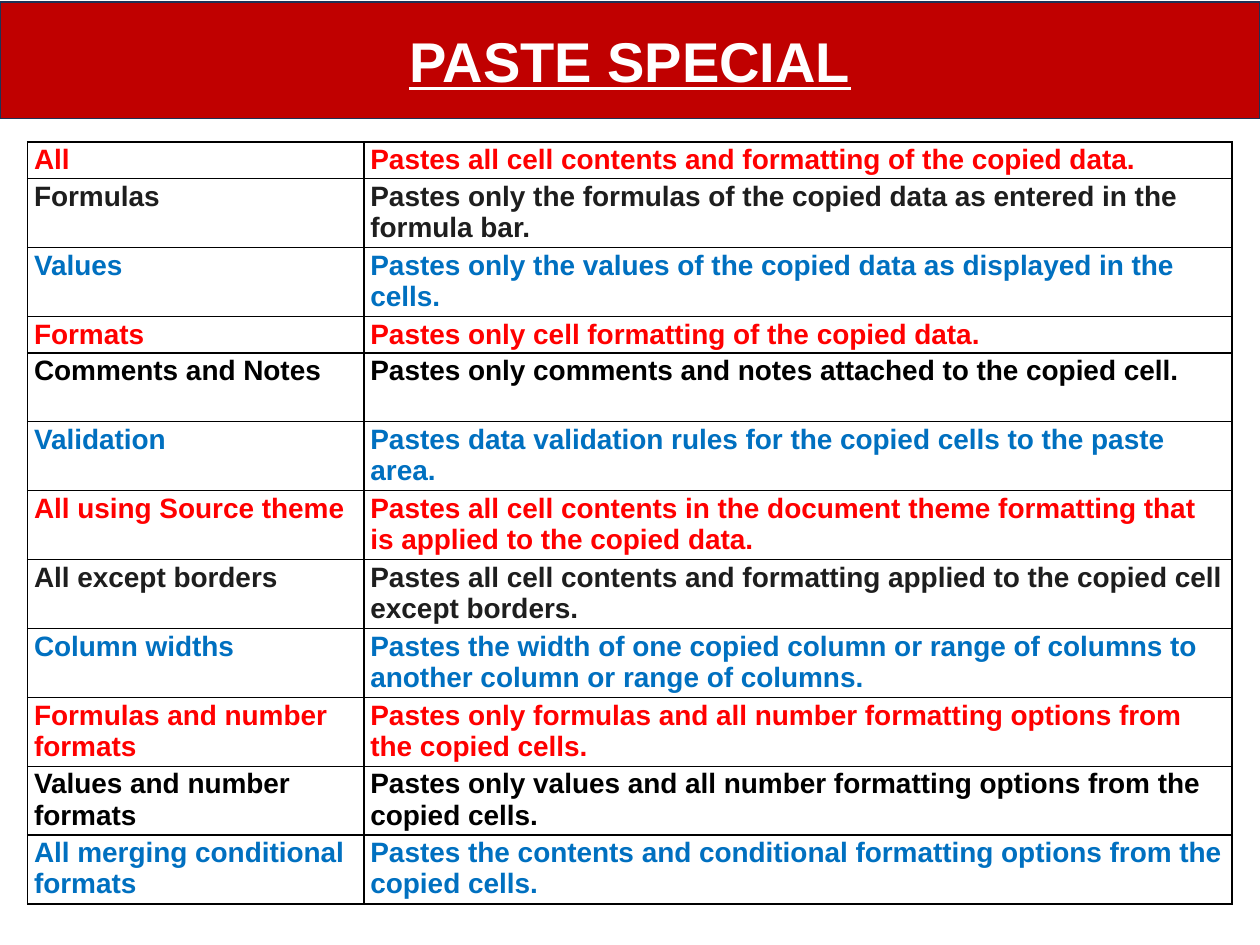
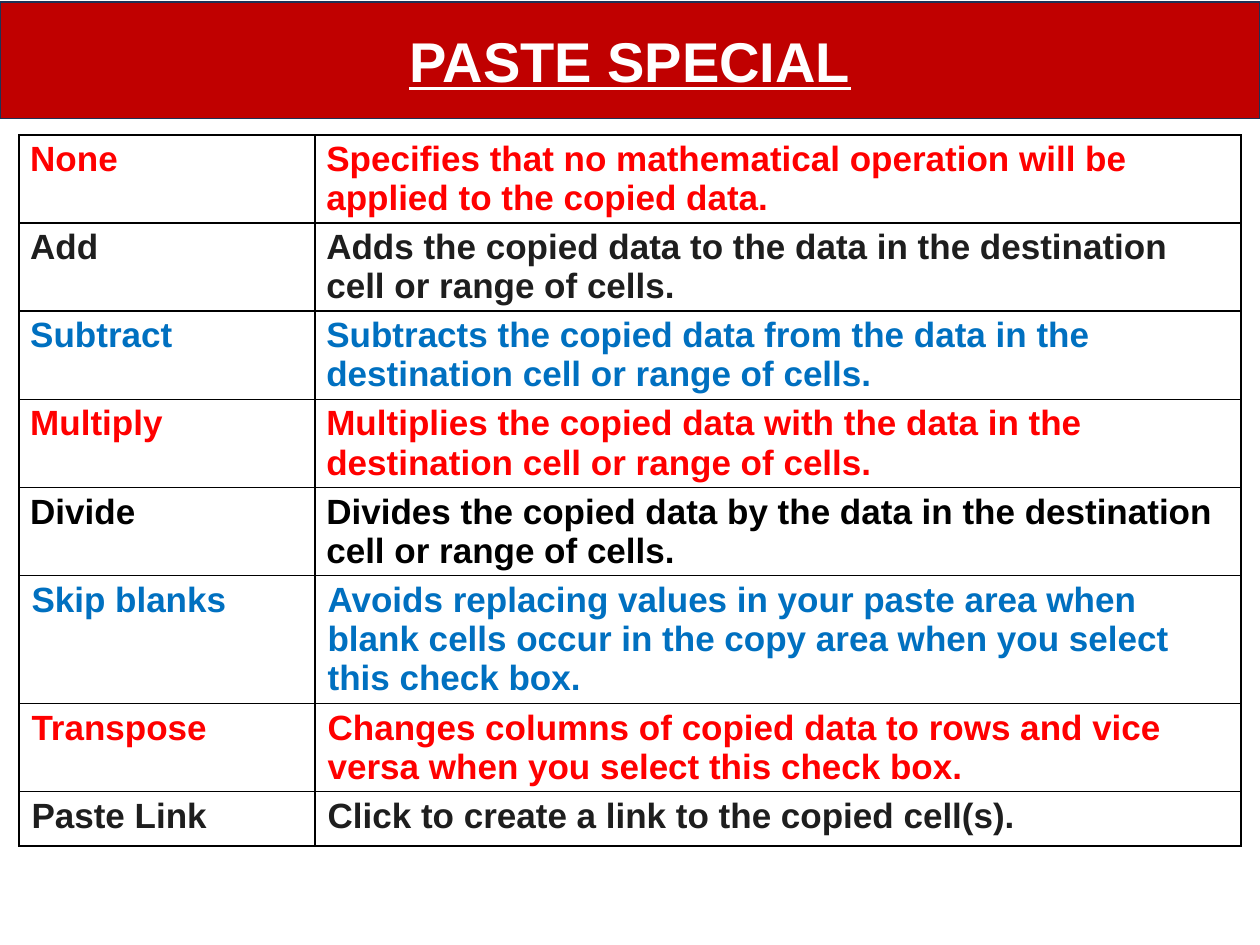
from itertools import cycle

from lxml.etree import SubElement
from pptx import Presentation
from pptx.dml.color import RGBColor as Rgb
from pptx.enum.text import MSO_ANCHOR as Anchor, MSO_AUTO_SIZE as AutoSize, PP_ALIGN as Align
from pptx.oxml.ns import qn
from pptx.util import Inches, Pt

COLOURS = {
    "band": "C00000", "edge": "1E3256", "title": "FFFFFF", "border": "000000",
    "red": "FF0000", "charcoal": "1E1E1E", "blue": "0070C0", "black": "000000",
}
ROW_COLOURS = ("red", "charcoal", "blue", "red", "black", "blue")
FONT = "Arial"
TITLE_ONLY = 5
GRID_COLUMNS, GRID_ROWS = 100, 75

PASTE_OPTIONS = [
    ("All", "Pastes all cell contents and formatting of the copied data."),
    ("Formulas", "Pastes only the formulas of the copied data as entered in the formula bar."),
    ("Values", "Pastes only the values of the copied data as displayed in the cells."),
    ("Formats", "Pastes only cell formatting of the copied data."),
    ("Comments and Notes", "Pastes only comments and notes attached to the copied cell."),
    ("Validation", "Pastes data validation rules for the copied cells to the paste area."),
    ("All using Source theme",
     "Pastes all cell contents in the document theme formatting that is applied to the copied data."),
    ("All except borders",
     "Pastes all cell contents and formatting applied to the copied cell except borders."),
    ("Column widths",
     "Pastes the width of one copied column or range of columns to another column or range of columns."),
    ("Formulas and number formats",
     "Pastes only formulas and all number formatting options from the copied cells."),
    ("Values and number formats",
     "Pastes only values and all number formatting options from the copied cells."),
    ("All merging conditional formats",
     "Pastes the contents and conditional formatting options from the copied cells."),
]
OPERATIONS = [
    ("None", "Specifies that no mathematical operation will be applied to the copied data."),
    ("Add", "Adds the copied data to the data in the destination cell or range of cells."),
    ("Subtract", "Subtracts the copied data from the data in the destination cell or range of cells."),
    ("Multiply", "Multiplies the copied data with the data in the destination cell or range of cells."),
    ("Divide", "Divides the copied data by the data in the destination cell or range of cells."),
    ("Skip blanks",
     "Avoids replacing values in your paste area when blank cells occur in the copy area "
     "when you select this check box."),
    ("Transpose",
     "Changes columns of copied data to rows and vice versa when you select this check box."),
    ("Paste Link", "Click to create a link to the copied cell(s)."),
]


def write_text(frame, text, *, size, colour, align=Align.LEFT, underline=False):
    """Write bold text into a text frame in the given format."""
    paragraph = frame.paragraphs[0]
    paragraph.alignment = align
    run = paragraph.add_run()
    run.text = text
    font = run.font
    font.name, font.size, font.bold, font.underline = FONT, Pt(size), True, underline
    font.color.rgb = Rgb.from_string(COLOURS[colour])


class Deck:
    """Hold the shared style, the presentation and the current slide."""

    def __init__(self):
        """Start an empty presentation with a grid over its slides."""
        self.show = Presentation()
        self.show.slide_width, self.show.slide_height = Inches(10), Inches(7.5)
        self.slide = None

    def across(self, columns):
        """Turn grid columns into a length."""
        return round(self.show.slide_width * columns / GRID_COLUMNS)

    def down(self, rows):
        """Turn grid rows into a length."""
        return round(self.show.slide_height * rows / GRID_ROWS)

    def titled_slide(self, heading):
        """Add a slide with its heading on the red band."""
        self.slide = self.show.slides.add_slide(self.show.slide_layouts[TITLE_ONLY])
        band = self.slide.shapes.title
        band.left, band.top = 0, self.down(0.15)
        band.width, band.height = self.across(GRID_COLUMNS), self.down(9.25)
        band.fill.solid()
        band.fill.fore_color.rgb = Rgb.from_string(COLOURS["band"])
        band.line.color.rgb = Rgb.from_string(COLOURS["edge"])
        band.line.width = Pt(1)
        band.text_frame.auto_size = AutoSize.NONE
        band.text_frame.vertical_anchor = Anchor.MIDDLE
        write_text(band.text_frame, heading, size=32, colour="title",
                   align=Align.CENTER, underline=True)

    def border(self, cell):
        """Draw a thin line on all four sides of a cell."""
        properties = cell._tc.get_or_add_tcPr()
        for side in ("a:lnL", "a:lnR", "a:lnT", "a:lnB"):
            line = SubElement(properties, qn(side), w=str(Pt(1)))
            fill = SubElement(line, qn("a:solidFill"))
            SubElement(fill, qn("a:srgbClr"), val=COLOURS["border"])

    def glossary(self, entries, *, left, top, widths, heights, size, insets, pad):
        """Add a table of terms and meanings with cycling row colours."""
        table = self.slide.shapes.add_table(
            len(entries), len(widths), self.across(left), self.down(top),
            self.across(sum(widths)), self.down(sum(heights))).table
        table.first_row = table.horz_banding = False
        for column, width in zip(table.columns, widths):
            column.width = self.across(width)
        for row, entry, height, inset, colour in zip(
                table.rows, entries, heights, insets, cycle(ROW_COLOURS)):
            row.height = self.down(height)
            for cell, text in zip(row.cells, entry):
                cell.margin_left = cell.margin_right = self.across(inset)
                cell.margin_top = cell.margin_bottom = self.down(pad)
                self.border(cell)
                cell.fill.background()
                write_text(cell.text_frame, text, size=size, colour=colour)


def main():
    """Build both slides and save them."""
    deck = Deck()
    deck.titled_slide("PASTE SPECIAL")
    one_line, two_lines = 2.9, 5.47
    deck.glossary(
        PASTE_OPTIONS, left=2.2, top=11.27, widths=(26.7, 68.9),
        heights=[one_line, two_lines, two_lines, one_line] + [two_lines] * 8,
        size=16, insets=[0.5] * 12, pad=0.2)

    deck.titled_slide("PASTE SPECIAL")
    one_line, two_lines, three_lines = 4.3, 6.96, 10.15
    deck.glossary(
        OPERATIONS, left=1.5, top=10.7, widths=(23.5, 73.5),
        heights=[two_lines] * 5 + [three_lines, two_lines, one_line],
        size=20, insets=[0.9] * 5 + [1] * 3, pad=0.4)
    deck.show.save("out.pptx")


if __name__ == "__main__":
    main()
